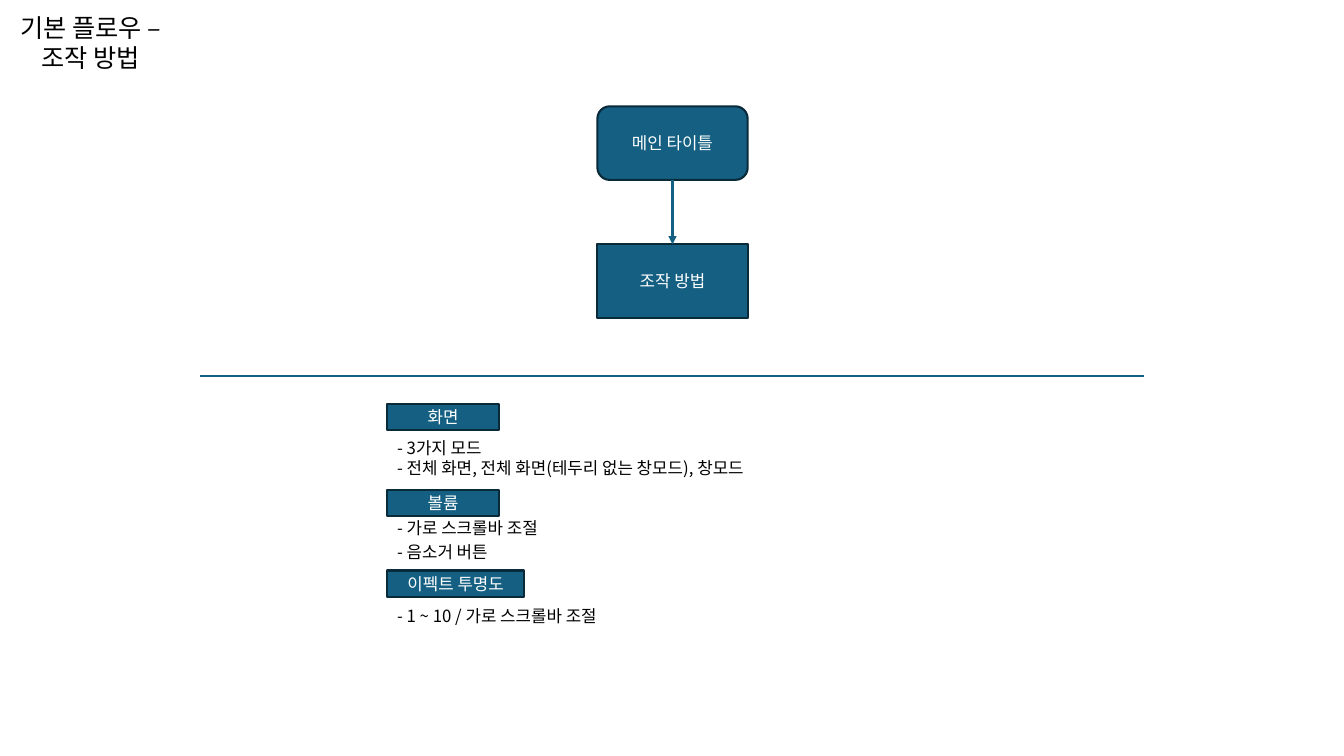
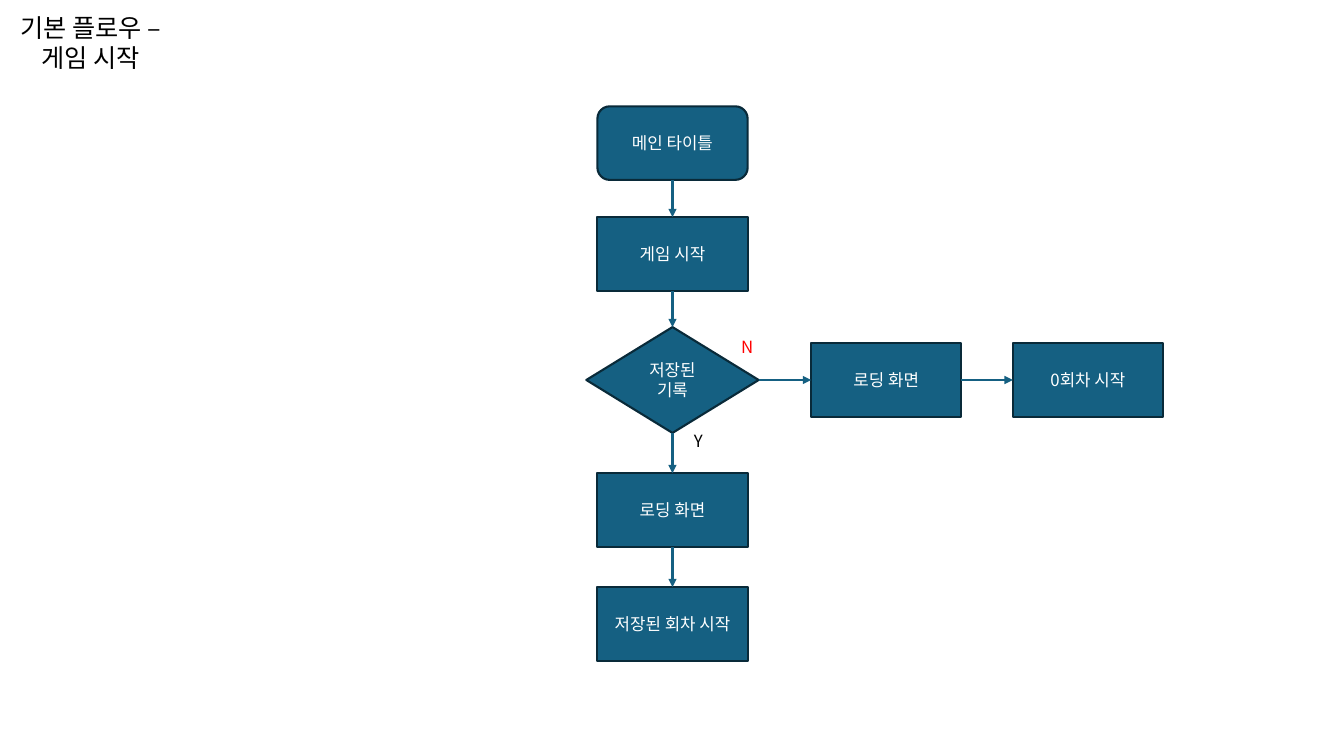
from pptx import Presentation
from pptx.dml.color import RGBColor
from pptx.enum.shapes import MSO_CONNECTOR, MSO_SHAPE
from pptx.enum.text import MSO_ANCHOR, PP_ALIGN
from pptx.oxml.ns import qn
from pptx.util import Inches, Pt
from lxml.etree import SubElement

FONT = "Noto Sans CJK KR"
HEX = {"fill": "156082", "edge": "092A39", "white": "FFFFFF",
       "black": "000000", "red": "FF0000"}
MID = 6.67
ROW = 3.77
BOX = (1.49, 0.73)
GEM = (1.71, 1.05)
RECT, ROUND, DIAMOND = (MSO_SHAPE.RECTANGLE, MSO_SHAPE.ROUNDED_RECTANGLE,
                        MSO_SHAPE.DIAMOND)
DOWN, RIGHT = (2, 0), (3, 1)

# Nodes: name -> text, shape, size, centre x, centre y
START = {"main": ("메인 타이틀", ROUND, BOX, MID, 1.42)}
FLOWS = [
    {"title": "기본 플로우 –조작 방법",
     "nodes": {**START, "help": ("조작 방법", RECT, BOX, MID, 2.79)},
     "links": [("main", "help", DOWN)]},
    {"title": "기본 플로우 –게임 시작",
     "nodes": {**START,
               "game": ("게임 시작", RECT, BOX, MID, 2.52),
               "saved": ("저장된 기록", DIAMOND, GEM, MID, ROW),
               "load": ("로딩 화면", RECT, BOX, MID, 5.06),
               "resume": ("저장된 회차 시작", RECT, BOX, MID, 6.19),
               "new load": ("로딩 화면", RECT, BOX, 8.79, ROW),
               "new": ("0회차 시작", RECT, BOX, 10.79, ROW)},
     "links": [("main", "game", DOWN), ("game", "saved", DOWN),
               ("saved", "load", DOWN), ("load", "resume", DOWN),
               ("saved", "new load", RIGHT), ("new load", "new", RIGHT)]},
]
# Options: heading, width, top, lines with their tops
OPTIONS = [
    ("화면", 1.11, 4.01,
     [("- 3가지 모드", 4.25),
      ("- 전체 화면, 전체 화면(테두리 없는 창모드), 창모드", 4.45)]),
    ("볼륨", 1.11, 4.86,
     [("- 가로 스크롤바 조절", 5.05), ("- 음소거 버튼", 5.28)]),
    ("이펙트 투명도", 1.36, 5.66,
     [("- 1 ~ 10 / 가로 스크롤바 조절", 5.92)]),
]
ANSWERS = [("Y", (6.74, 4.28, 0.37, 0.18), "black"),
           ("N", (7.15, 3.32, 0.52, 0.25), "red")]


def color(name):
    return RGBColor.from_string(HEX[name])


def write(shape, text, ink="black", size=12, align=PP_ALIGN.CENTER):
    frame = shape.text_frame
    for key, value in {"word_wrap": True,
                       "vertical_anchor": MSO_ANCHOR.MIDDLE}.items():
        setattr(frame, key, value)
    para = frame.paragraphs[0]
    para.alignment = align
    run = para.add_run()
    run.text = text
    for key, value in {"name": FONT, "size": Pt(size)}.items():
        setattr(run.font, key, value)
    run.font.color.rgb = color(ink)
    SubElement(run.font._element, qn("a:ea"), typeface=FONT)


def label(slide, text, place, **style):
    write(slide.shapes.add_textbox(*map(Inches, place)), text, **style)


def box(slide, text, kind, place):
    shape = slide.shapes.add_shape(kind, *map(Inches, place))
    shape.shadow.inherit = False
    shape.fill.solid()
    shape.fill.fore_color.rgb = color("fill")
    shape.line.color.rgb = color("edge")
    shape.line.width = Pt(1.5)
    write(shape, text, "white")
    return shape


def rule(slide, ends=(0, 0, 0, 0)):
    """Add a plain straight line."""
    line = slide.shapes.add_connector(MSO_CONNECTOR.STRAIGHT,
                                      *map(Inches, ends))
    line.line.color.rgb = color("fill")
    line.line.width = Pt(1.5)
    SubElement(line._element.spPr, qn("a:effectLst"))
    return line


def arrow(slide, start, end, sites):
    line = rule(slide)
    line.begin_connect(start, sites[0])
    line.end_connect(end, sites[1])
    SubElement(line.line._get_or_add_ln(), qn("a:tailEnd"), type="triangle")


def flow(deck, data):
    slide = deck.slides.add_slide(deck.slide_layouts[6])
    label(slide, data["title"], (0, -0.02, 1.8, 0.88), size=18)
    nodes = {}
    for name, (text, kind, (wide, high), x, y) in data["nodes"].items():
        place = (x - wide / 2, y - high / 2, wide, high)
        nodes[name] = box(slide, text, kind, place)
    for start, end, sites in data["links"]:
        arrow(slide, nodes[start], nodes[end], sites)
    return slide


def main():
    deck = Presentation()
    deck.slide_width, deck.slide_height = Inches(13.33), Inches(7.5)
    guide, game = [flow(deck, data) for data in FLOWS]

    rule(guide, (1.98, 3.73, 11.35, 3.73))
    left = 3.84
    for head, wide, top, lines in OPTIONS:
        box(guide, head, RECT, (left, top, wide, 0.26))
        for text, y in lines:
            label(guide, text, (left, y, 4.14, 0.38), align=PP_ALIGN.LEFT)

    for text, place, ink in ANSWERS:
        label(game, text, place, ink=ink)
    deck.save("out.pptx")


if __name__ == "__main__":
    main()
